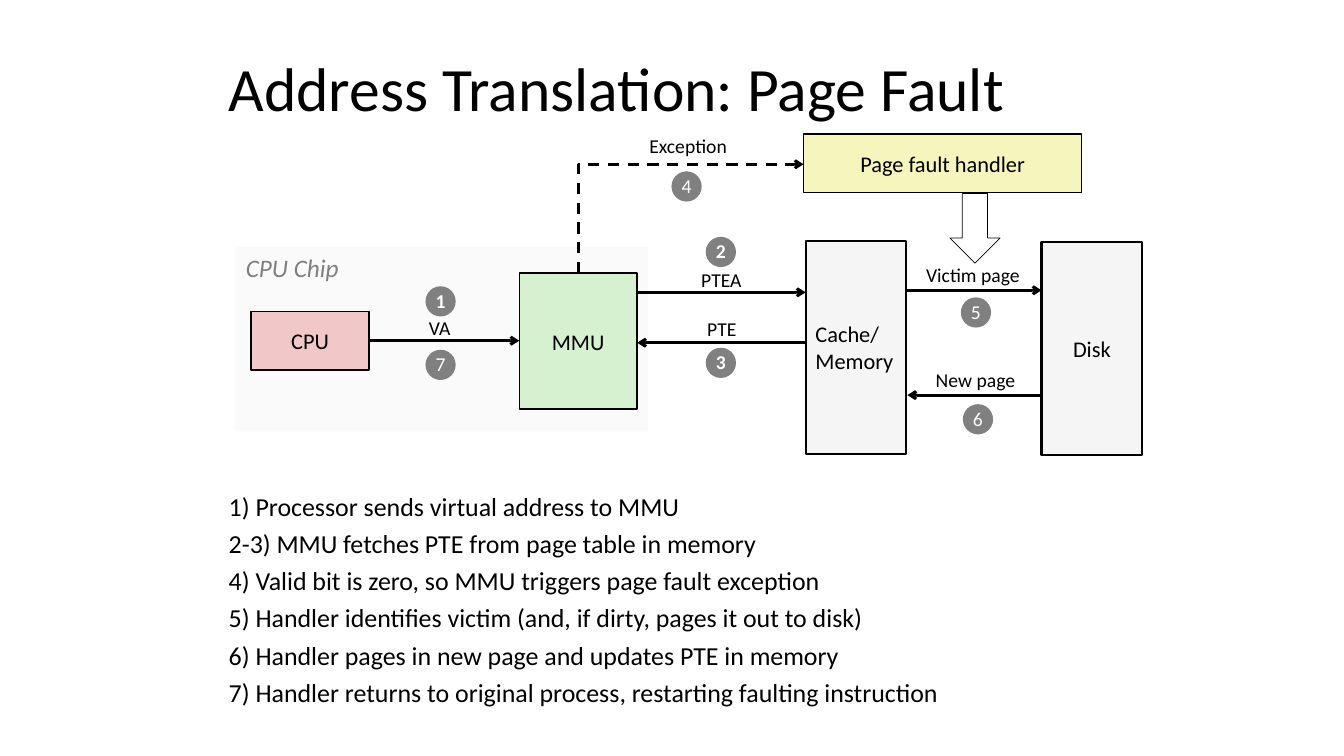
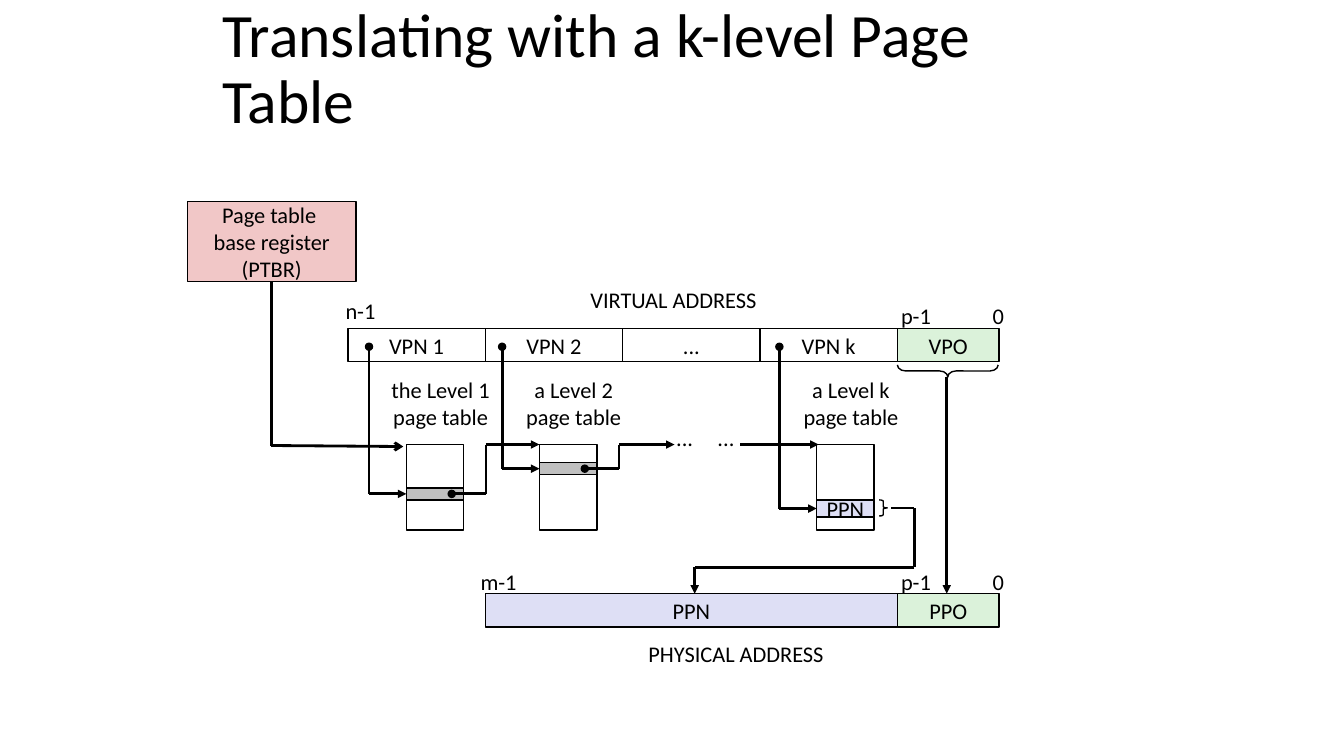
from itertools import pairwise
from lxml.etree import SubElement
from pptx import Presentation
from pptx.dml.color import RGBColor
from pptx.enum.dml import MSO_LINE
from pptx.enum.shapes import MSO_CONNECTOR as Connector, MSO_SHAPE as Shape
from pptx.enum.text import MSO_ANCHOR as Anchor, PP_ALIGN as Align
from pptx.oxml.ns import qn
from pptx.util import Inches, Pt

FONT = "Calibri"
COLORS = {
    "black": "000000", "white": "FFFFFF", "gray": "808080", "chip": "FAFAFA",
    "red": "F1C7C7", "green": "D5F1CF", "storage": "F5F5F5", "yellow": "F6F5BD",
    "offset": "DBF2DA", "entry": "C0C0C0", "frame": "DEDFF5",
}

FAULT_TITLE = ("Address Translation: Page Fault", 2.17, 0.48, 9.53, 0.86)
FAULT_STEPS = [
    "1) Processor sends virtual address to MMU ",
    "2-3) MMU fetches PTE from page table in memory",
    "4) Valid bit is zero, so MMU triggers page fault exception",
    "5) Handler identifies victim (and, if dirty, pages it out to disk)",
    "6) Handler pages in new page and updates PTE in memory",
    "7) Handler returns to original process, restarting faulting instruction",
]
FAULT_BOXES = [
    ("MMU", 5.15, 2.71, 1.17, 1.35, "green", 1, Align.CENTER),
    ("Cache/\nMemory", 7.99, 2.39, 1, 2.11, "storage", 1.5, Align.LEFT),
    ("CPU", 2.49, 3.09, 1.17, 0.58, "red", 1, Align.CENTER),
    ("Disk", 10.33, 2.4, 1, 2.11, "storage", 1.5, Align.CENTER),
    ("Page fault handler", 7.97, 1.33, 2.76, 0.58, "yellow", 1, Align.CENTER),
]
FAULT_ARROWS = [
    (3.65, 5.15, 3.38), (6.32, 7.99, 2.9), (7.99, 6.32, 3.4),
    (9, 10.33, 2.88), (10.33, 9, 3.92),
]
FAULT_LABELS = [
    ("VA", 4.15, 3.09, 0.42), ("PTEA", 6.85, 2.62, 0.61), ("PTE", 6.91, 3.1, 0.5),
    ("Victim page", 9.07, 2.57, 1.16), ("New page", 9.17, 3.61, 1.01),
    ("Exception", 6.33, 1.29, 0.99),
]
STEP_MARKERS = [
    ("1", 4.22, 2.84, True), ("2", 7, 2.35, True), ("3", 7, 3.45, True),
    ("4", 6.66, 1.7, False), ("5", 9.53, 2.95, False), ("6", 9.55, 4.01, False),
    ("7", 4.22, 3.47, False),
]

LEVEL_TITLE = ("Translating with a k-level Page Table", 2.11, 0.27, 9.06, 0.86)
VIRTUAL_PARTS = ["VPN 1", "VPN 2", "...", "VPN k"]
LEVELS = [
    ("the Level 1\npage table", 4.03, 4.84, 0.12, "entry", "", 5.35),
    ("a Level 2\npage table", 5.35, 4.59, 0.12, "entry", "", 6.69),
    ("a Level k\npage table", 8.1, 4.96, 0.17, "frame", "PPN", None),
]
LEVEL_LABELS = [
    ("0", 9.74, 2.95, 0.32), ("p-1", 8.83, 2.95, 0.51), ("n-1", 3.32, 2.9, 0.51),
    ("0", 9.74, 5.58, 0.32), ("p-1", 8.83, 5.58, 0.51), ("m-1", 4.66, 5.58, 0.57),
    ("VIRTUAL ADDRESS", 5.71, 2.79, 1.94), ("PHYSICAL ADDRESS", 6.32, 6.3, 1.96),
    ("...", 6.6, 4.16, 0.38), ("...", 7.01, 4.16, 0.38),
]
ADDRESS_LEFT, OFFSET_LEFT, OFFSET_WIDTH, ROW_HEIGHT = 3.45, 8.9, 1.01, 0.33
VIRTUAL_TOP, PHYSICAL_TOP = 3.26, 5.89
TABLE_TOP, TABLE_WIDTH, TABLE_HEIGHT = 4.41, 0.57, 0.85

presentation = Presentation()
presentation.slide_width, presentation.slide_height = Inches(13.33), Inches(7.5)


def rgb(name):
    return RGBColor.from_string(COLORS[name])


def write(shape, text, size=16, color="black", align=Align.CENTER, anchor=Anchor.MIDDLE,
          wrap=False, bold=False, italic=False, spacing=None):
    frame = shape.text_frame
    frame.word_wrap = wrap
    frame.vertical_anchor = anchor
    for index, content in enumerate(text.split("\n")):
        paragraph = frame.paragraphs[0] if index == 0 else frame.add_paragraph()
        paragraph.alignment = align
        paragraph.line_spacing = spacing
        for part, words in enumerate(content.split("|")):
            if part:
                paragraph.add_line_break()
            run = paragraph.add_run()
            run.text = words
            font = run.font
            font.name, font.size, font.bold, font.italic = FONT, Pt(size), bold, italic
            font.color.rgb = rgb(color)
    return frame


def add_text(slide, text, left, top, width, height=0.37, **style):
    box = slide.shapes.add_textbox(Inches(left), Inches(top), Inches(width), Inches(height))
    return write(box, text, **style)


def add_box(slide, left, top, width, height, fill=None, line=1, kind=Shape.RECTANGLE,
            text="", **style):
    shape = slide.shapes.add_shape(kind, Inches(left), Inches(top), Inches(width), Inches(height))
    shape.shadow.inherit = False
    if fill:
        shape.fill.solid()
        shape.fill.fore_color.rgb = rgb(fill)
    else:
        shape.fill.background()
    if line:
        shape.line.color.rgb = rgb("black")
        shape.line.width = Pt(line)
    else:
        shape.line.fill.background()
    if text:
        write(shape, text, **style)
    return shape


def add_line(slide, start, end, head=None, tail=None, dash=None):
    connector = slide.shapes.add_connector(
        Connector.STRAIGHT, *(Inches(value) for value in (*start, *end)))
    connector.line.color.rgb = rgb("black")
    connector.line.width = Pt(2)
    if dash:
        connector.line.dash_style = dash
    properties = connector._element.spPr
    outline = properties.find(qn("a:ln"))
    for tag, kind in (("a:headEnd", head), ("a:tailEnd", tail)):
        if kind:
            SubElement(outline, qn(tag), type=kind)
    SubElement(properties, qn("a:effectLst"))
    return connector


def add_route(slide, points, head=None, tail=None):
    legs = list(pairwise(points))
    for index, (start, end) in enumerate(legs):
        add_line(slide, start, end, head if index == 0 else None,
                 tail if index == len(legs) - 1 else None)


def add_bend(slide, start, end, **style):
    center_x, center_y = (start[0] + end[0]) / 2, (start[1] + end[1]) / 2
    half_width, half_height = abs(end[1] - start[1]) / 2, abs(end[0] - start[0]) / 2
    connector = add_line(slide, (center_x - half_width, center_y - half_height),
                         (center_x + half_width, center_y + half_height), **style)
    properties = connector._element.spPr
    properties.find(qn("a:prstGeom")).set("prst", "bentConnector2")
    transform = properties.find(qn("a:xfrm"))
    for name, value in (("rot", "5400000"), ("flipH", "1"), ("flipV", "1")):
        transform.set(name, value)


def add_slide(title):
    slide = presentation.slides.add_slide(presentation.slide_layouts[6])
    add_text(slide, *title, size=44, align=Align.LEFT, wrap=True, spacing=0.9)
    return slide


def build_page_fault():
    slide = add_slide(FAULT_TITLE)
    add_box(slide, 2.33, 2.45, 4.1, 1.83, "chip", None)
    add_text(slide, "CPU Chip", 2.34, 2.45, 1.16, 0.4, size=18, color="gray",
             align=Align.LEFT, anchor=Anchor.TOP, italic=True)
    steps = add_text(slide, "\n".join(FAULT_STEPS), 2.17, 4.92, 8.75, 2.25, size=18.5,
                     align=Align.LEFT, anchor=Anchor.TOP, wrap=True, spacing=0.63)
    for paragraph in steps.paragraphs:
        paragraph.space_before = Pt(12.5)
        properties = paragraph._p.get_or_add_pPr()
        properties.set("marL", str(Inches(0.25)))
        properties.set("indent", str(Inches(-0.25)))
    for text, left, top, width, height, fill, line, align in FAULT_BOXES:
        add_box(slide, left, top, width, height, fill, line, text=text, align=align)
    for start, end, height in FAULT_ARROWS:
        add_line(slide, (start, height), (end, height), tail="arrow")
    add_bend(slide, (5.74, 2.71), (7.97, 1.63), tail="arrow", dash=MSO_LINE.DASH)
    add_box(slide, 9.42, 1.92, 0.5, 0.69, line=0.5, kind=Shape.DOWN_ARROW)
    for text, left, top, width in FAULT_LABELS:
        add_text(slide, text, left, top, width, 0.33, size=14, spacing=0.98)
    for text, left, top, bold in STEP_MARKERS:
        add_box(slide, left, top, 0.3, 0.3, "gray", None, Shape.OVAL, text,
                size=14, color="white", bold=bold, spacing=0.98)


def build_page_levels():
    slide = add_slide(LEVEL_TITLE)
    add_box(slide, 1.86, 2, 1.67, 0.79, "red", text="Page table |base register\n(PTBR)", wrap=True)
    add_route(slide, [(2.69, 2.79), (2.69, 4.42), (4, 4.43)], tail="arrow")

    part_width = (OFFSET_LEFT - ADDRESS_LEFT) / len(VIRTUAL_PARTS)
    for index, text in enumerate(VIRTUAL_PARTS):
        add_box(slide, ADDRESS_LEFT + index * part_width, VIRTUAL_TOP, part_width, ROW_HEIGHT,
                text=text)
    for text, top in (("VPO", VIRTUAL_TOP), ("PPO", PHYSICAL_TOP)):
        add_box(slide, OFFSET_LEFT, top, OFFSET_WIDTH, ROW_HEIGHT, "offset", text=text)
    frame_left = ADDRESS_LEFT + part_width
    add_box(slide, frame_left, PHYSICAL_TOP, OFFSET_LEFT - frame_left, ROW_HEIGHT, "frame",
            text="PPN")

    for caption, left, entry_top, entry_height, fill, text, target in LEVELS:
        middle = entry_top + entry_height / 2
        drop = left - 0.37
        add_box(slide, left, TABLE_TOP, TABLE_WIDTH, TABLE_HEIGHT)
        add_box(slide, left, entry_top, TABLE_WIDTH, entry_height, fill, text=text)
        add_route(slide, [(drop, 3.44), (drop, middle), (left, middle)], "oval", "triangle")
        add_text(slide, caption, left - 0.26, 3.68, 1.2, 0.64)
        if target:
            turn = left + 0.79
            add_route(slide, [(left + 0.45, middle), (turn, middle), (turn, TABLE_TOP),
                              (target, TABLE_TOP)], "oval", "triangle")

    add_route(slide, [(7.34, TABLE_TOP), (8.12, TABLE_TOP)], tail="triangle")
    add_route(slide, [(9.39, 3.74), (9.39, PHYSICAL_TOP)], tail="triangle")
    add_route(slide, [(8.84, 5.04), (9.07, 5.04), (9.07, 5.63), (6.89, 5.63),
                      (6.89, PHYSICAL_TOP)], tail="triangle")
    for text, left, top, width in LEVEL_LABELS:
        add_text(slide, text, left, top, width)

    offset_brace = add_box(slide, 9.34, 3.18, 0.12, 1, kind=Shape.RIGHT_BRACE)
    offset_brace.rotation = 90
    offset_brace.adjustments[0] = 0.68
    entry_brace = add_box(slide, 8.72, 4.96, 0.08, 0.16, kind=Shape.RIGHT_BRACE)
    entry_brace.adjustments[0] = 0.16


build_page_fault()
build_page_levels()
presentation.save("out.pptx")
